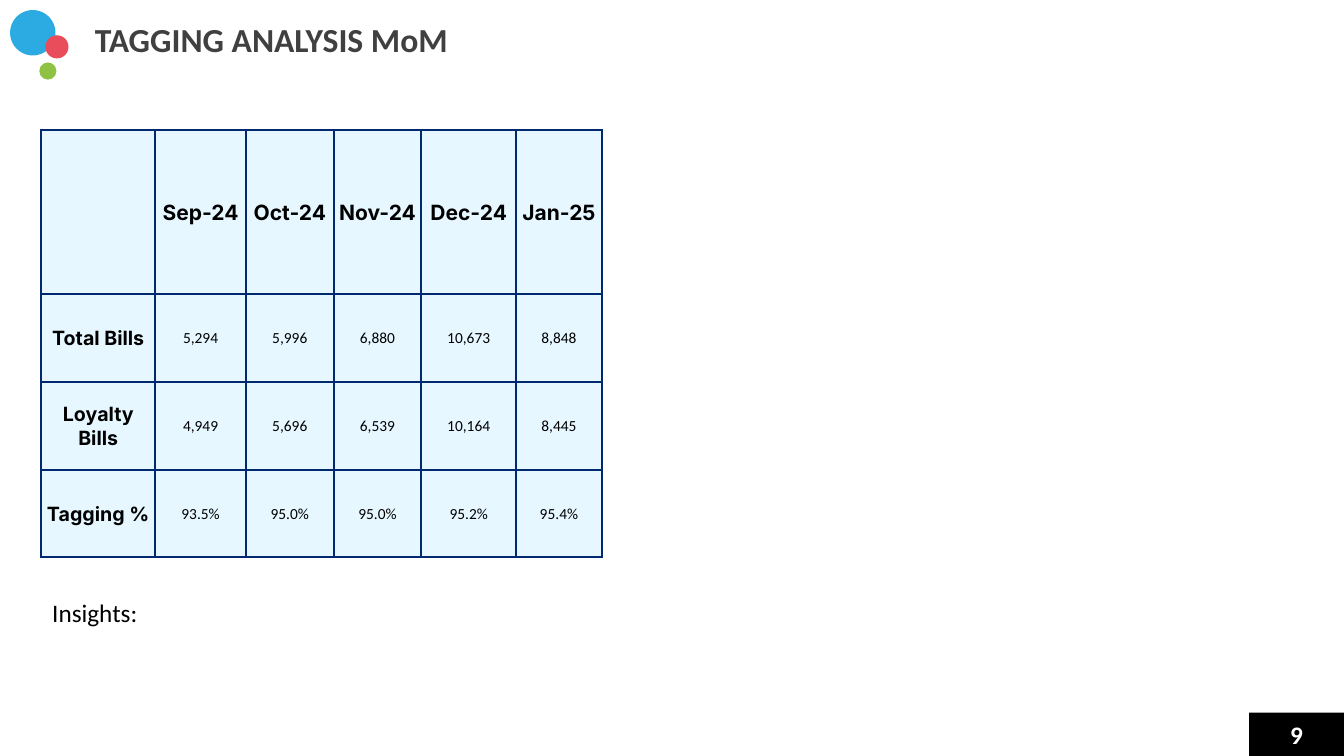
from lxml.etree import SubElement
from pptx import Presentation
from pptx.dml.color import RGBColor
from pptx.enum.shapes import MSO_SHAPE
from pptx.enum.text import MSO_ANCHOR, PP_ALIGN
from pptx.oxml.ns import qn
from pptx.util import Inches, Pt

NAVY, PALE_BLUE, BLACK, WHITE = "002970", "E6F7FF", "000000", "FFFFFF"
CIRCLES = [(0, 0, 0.45, "2CAAE2"), (0.35, 0.25, 0.23, "E94D5B"), (0.29, 0.52, 0.17, "8FC143")]
COLUMN_WIDTHS = [1.13, 0.9, 0.87, 0.87, 0.94, 0.85]
ROW_HEIGHTS = [1.63, 0.87, 0.87, 0.87]
BILLS = [
    ["", "Sep-24", "Oct-24", "Nov-24", "Dec-24", "Jan-25"],
    ["Total Bills", "5,294", "5,996", "6,880", "10,673", "8,848"],
    ["Loyalty Bills", "4,949", "5,696", "6,539", "10,164", "8,445"],
    ["Tagging %", "93.5%", "95.0%", "95.0%", "95.2%", "95.4%"],
]


def color(value):
    """Turn a hex string into a colour."""
    return RGBColor.from_string(value)


def write(frame, text, size, fill, bold=False, font="Calibri", align=PP_ALIGN.LEFT):
    """Put one formatted paragraph into a text frame and return it."""
    frame.text = text
    para = frame.paragraphs[0]
    para.alignment = align
    for span in para.runs:
        span.font.name = font
        span.font.size = Pt(size)
        span.font.bold = bold
        span.font.color.rgb = color(fill)
    return para


def set_margins(target, left, top, right, bottom):
    """Set the four inner margins of a cell or text frame."""
    target.margin_left, target.margin_top = Inches(left), Inches(top)
    target.margin_right, target.margin_bottom = Inches(right), Inches(bottom)


def add_plain_shape(page, kind, box, fill):
    """Add a filled shape without outline or shadow."""
    shape = page.shapes.add_shape(kind, *map(Inches, box))
    shape.shadow.inherit = False
    shape.fill.solid()
    shape.fill.fore_color.rgb = color(fill)
    shape.line.fill.background()
    return shape


def add_circles(page, left, top):
    """Place the corner circles relative to their top left."""
    for dx, dy, size, fill in CIRCLES:
        add_plain_shape(page, MSO_SHAPE.OVAL, (left + dx, top + dy, size, size), fill)


def add_page_number(page, box, number):
    """Draw the black page number block."""
    block = add_plain_shape(page, MSO_SHAPE.RECTANGLE, box, BLACK)
    block.text_frame.vertical_anchor = MSO_ANCHOR.MIDDLE
    write(block.text_frame, number, 18, WHITE, bold=True, align=PP_ALIGN.CENTER)


def set_title(page, box, text):
    """Move and format the title placeholder."""
    title = page.shapes.title
    title.left, title.top, title.width, title.height = map(Inches, box)
    frame = title.text_frame
    frame.vertical_anchor = MSO_ANCHOR.MIDDLE
    set_margins(frame, 0, 0.01, 0, 0)
    para = write(frame, text, 24, "404040", bold=True)
    para.space_before = Pt(1)


def add_borders(cell):
    """Draw the four navy borders of a cell ahead of its fill."""
    properties = cell._tc.get_or_add_tcPr()
    for index, side in enumerate(("a:lnL", "a:lnR", "a:lnT", "a:lnB")):
        line = SubElement(properties, qn(side), w=str(Pt(1.5)))
        fill = SubElement(line, qn("a:solidFill"))
        SubElement(fill, qn("a:srgbClr"), val=NAVY)
        properties.insert(index, line)


def add_bills_table(page, left, top):
    """Build the monthly table of bills."""
    box = (left, top, sum(COLUMN_WIDTHS), sum(ROW_HEIGHTS))
    frame = page.shapes.add_table(len(BILLS), len(BILLS[0]), *map(Inches, box))
    table = frame.table
    table.horz_banding = False
    for column, width in zip(table.columns, COLUMN_WIDTHS):
        column.width = Inches(width)
    for r, (height, values) in enumerate(zip(ROW_HEIGHTS, BILLS)):
        table.rows[r].height = Inches(height)
        for c, value in enumerate(values):
            cell = table.cell(r, c)
            heading = r == 0 or c == 0
            size = 15 if r == 0 else 14 if heading else 11
            cell.fill.solid()
            cell.fill.fore_color.rgb = color(PALE_BLUE)
            cell.vertical_anchor = MSO_ANCHOR.MIDDLE
            set_margins(cell, 0.01, 0.01, 0.01, 0)
            write(cell.text_frame, value, size, BLACK, heading,
                  "Inter" if heading else "Calibri", PP_ALIGN.CENTER)
            add_borders(cell)


def add_insights(page, box):
    """Add the insights label."""
    label = page.shapes.add_textbox(*map(Inches, box))
    label.text_frame.word_wrap = True
    write(label.text_frame, "Insights:", 18, BLACK)


def main():
    """Build the slide and save it."""
    deck = Presentation()
    deck.slide_width, deck.slide_height = Inches(13.33), Inches(7.5)
    page = deck.slides.add_slide(deck.slide_layouts[5])
    add_circles(page, 0.1, 0.1)
    add_page_number(page, (12.39, 7.07, 0.94, 0.43), "9")
    add_bills_table(page, 0.41, 1.29)
    set_title(page, (0.94, 0.17, 10.7, 0.42), "TAGGING ANALYSIS MoM")
    add_insights(page, (0.42, 5.88, 10.84, 0.4))
    deck.save("out.pptx")


if __name__ == "__main__":
    main()
